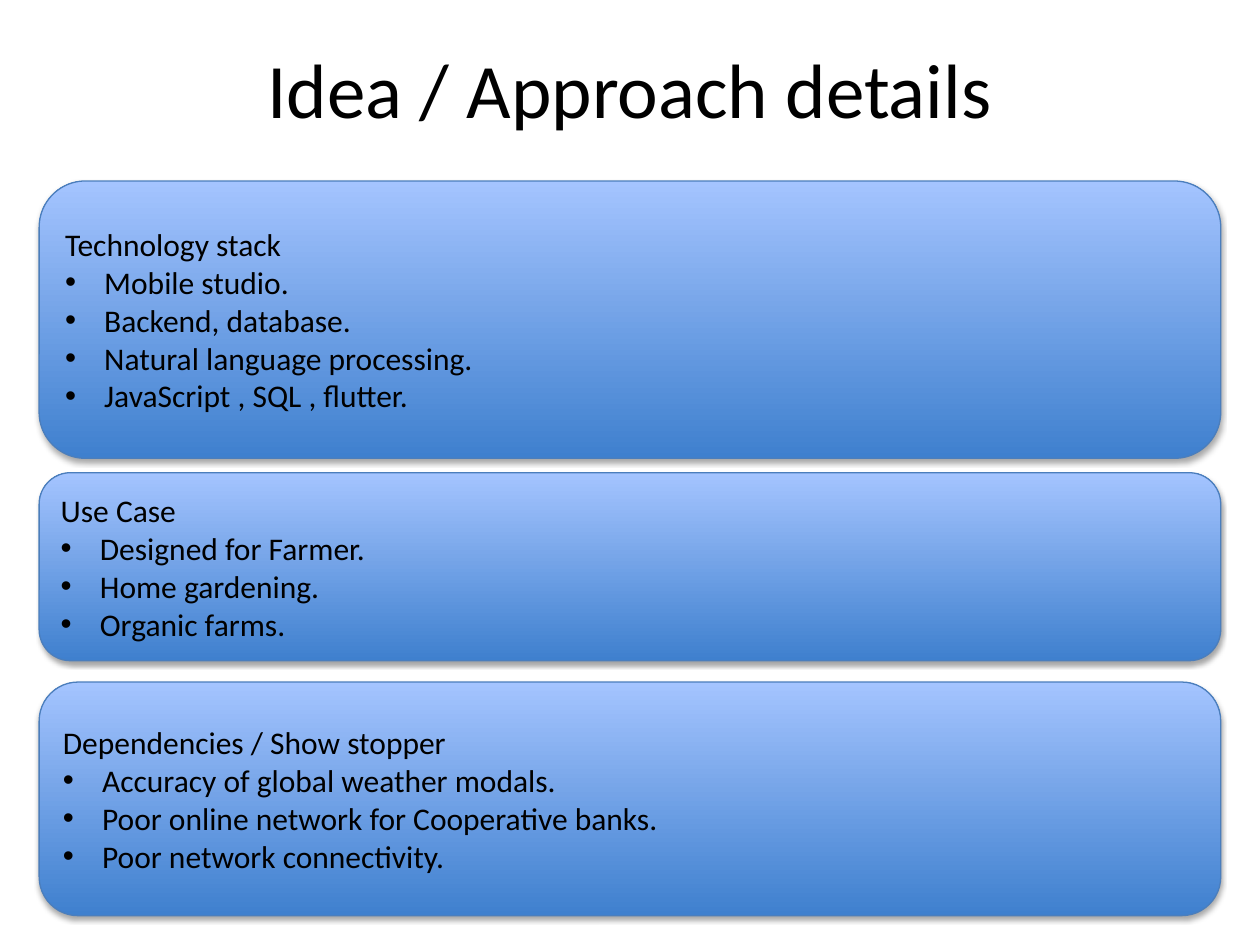
import pptx
import pptx.util
import pptx.dml.color
import pptx.enum.shapes
import pptx.enum.text
from lxml import etree
from pptx.oxml.ns import qn

Cm, Pt = pptx.util.Cm, pptx.util.Pt
RGBColor = pptx.dml.color.RGBColor
ALIGN = pptx.enum.text.PP_ALIGN
MIDDLE = pptx.enum.text.MSO_ANCHOR.MIDDLE

BLACK = RGBColor(0x00, 0x00, 0x00)
DEEP_BLUE = RGBColor(0x3F, 0x80, 0xCE)
PALE_BLUE = RGBColor(0xA4, 0xC4, 0xFF)
EDGE_BLUE = RGBColor(0x4B, 0x7E, 0xBC)
FONT = "Calibri"

TITLE = "Idea / Approach details"
# top and height in cm, text columns, heading, bullet points
PANELS = [
    (3.65, 5.59, 1, "Technology stack",
     ["Mobile studio.", "Backend, database.", "Natural language processing.",
      "JavaScript , SQL , flutter."]),
    (9.53, 3.79, 2, "Use Case",
     ["Designed for Farmer.", "Home gardening.", "Organic farms."]),
    (13.75, 4.71, 1, "Dependencies / Show stopper",
     ["Accuracy of global weather modals.",
      "Poor online network for Cooperative banks.",
      "Poor network connectivity."]),
]
PAGE_WIDTH, PAGE_HEIGHT = 25.4, 19.05
PANEL_LEFT = 0.79
BULLET_INDENT = Cm(0.79)


def write(box, lines, size, align):
    frame = box.text_frame
    frame.word_wrap = True
    frame.vertical_anchor = MIDDLE
    frame.text = "\n".join(lines)
    for para in frame.paragraphs:
        para.alignment = align
        for span in para.runs:
            span.font.name = FONT
            span.font.size = Pt(size)
            span.font.color.rgb = BLACK


def add_bullet(para):
    props = para._p.get_or_add_pPr()
    props.set("marL", str(BULLET_INDENT))
    props.set("indent", str(-BULLET_INDENT))
    etree.SubElement(props, qn("a:buFont"), typeface="Arial")
    etree.SubElement(props, qn("a:buChar"), char="•")


def add_soft_shadow(shape):
    shape.shadow.inherit = False
    effects = shape._element.spPr.find(qn("a:effectLst"))
    shadow = etree.SubElement(
        effects, qn("a:outerShdw"), blurRad=str(Pt(3.1)), dist=str(Pt(1.8)),
        dir="5400000", rotWithShape="0")
    color = etree.SubElement(shadow, qn("a:srgbClr"), val=str(BLACK))
    etree.SubElement(color, qn("a:alpha"), val="35000")


def add_panel(page, top, height, columns, heading, points):
    panel = page.shapes.add_shape(
        pptx.enum.shapes.MSO_SHAPE.ROUNDED_RECTANGLE, Cm(PANEL_LEFT), Cm(top),
        Cm(PAGE_WIDTH - 2 * PANEL_LEFT), Cm(height))
    panel.fill.gradient()
    panel.fill.gradient_angle = 90
    for stop, color in zip(panel.fill.gradient_stops, (DEEP_BLUE, PALE_BLUE)):
        stop.color.rgb = color
    panel.line.color.rgb = EDGE_BLUE
    panel.line.width = Pt(0.75)
    add_soft_shadow(panel)
    write(panel, [heading, *points], 18, ALIGN.LEFT)
    if columns > 1:
        panel.text_frame._txBody.bodyPr.set("numCol", str(columns))
    for para in panel.text_frame.paragraphs[1:]:
        add_bullet(para)


def main():
    deck = pptx.Presentation()
    deck.slide_width, deck.slide_height = Cm(PAGE_WIDTH), Cm(PAGE_HEIGHT)
    page = deck.slides.add_slide(deck.slide_layouts[6])
    title = page.shapes.add_textbox(Cm(1.27), Cm(0.18), Cm(22.86), Cm(3.18))
    write(title, [TITLE], 44, ALIGN.CENTER)
    for panel in PANELS:
        add_panel(page, *panel)
    deck.save("out.pptx")


if __name__ == "__main__":
    main()
